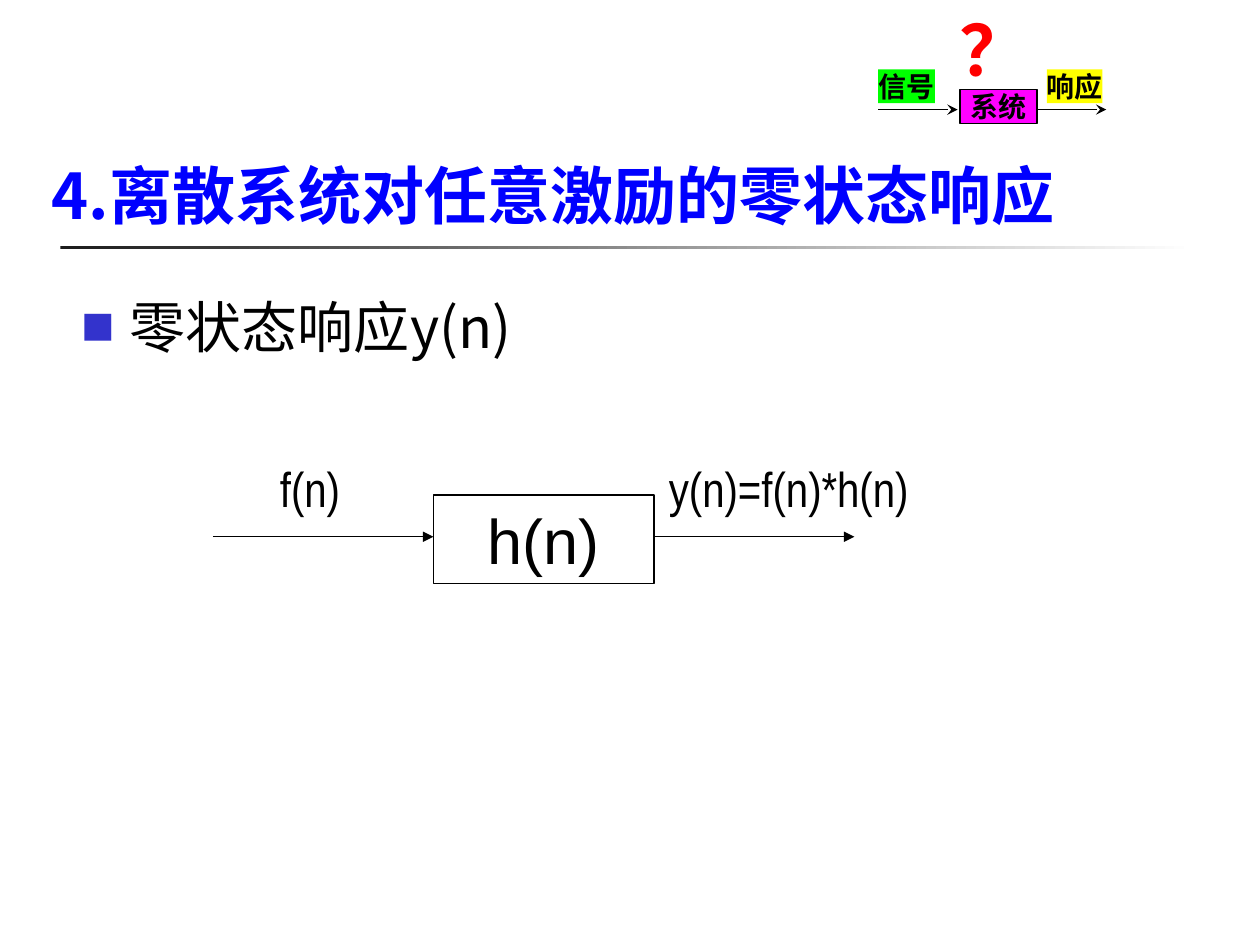
import pptx
import pptx.util
import pptx.dml.color
import pptx.enum.dml
import pptx.enum.lang
import pptx.enum.shapes
import pptx.enum.text
import pptx.oxml
import pptx.oxml.ns
import lxml.etree

Inches = pptx.util.Inches
Pt = pptx.util.Pt
RGBColor = pptx.dml.color.RGBColor
PP_ALIGN = pptx.enum.text.PP_ALIGN
MSO_ANCHOR = pptx.enum.text.MSO_ANCHOR
qn = pptx.oxml.ns.qn

BLACK = RGBColor(0x00, 0x00, 0x00)
WHITE = RGBColor(0xFF, 0xFF, 0xFF)
CHARCOAL = RGBColor(0x1C, 0x1C, 0x1C)
BLUE = RGBColor(0x00, 0x00, 0xFF)
INDIGO = RGBColor(0x33, 0x33, 0xCC)
GREEN = RGBColor(0x00, 0xFF, 0x00)
YELLOW = RGBColor(0xFF, 0xFF, 0x00)
MAGENTA = RGBColor(0xFF, 0x00, 0xFF)
RED = RGBColor(0xFF, 0x00, 0x00)
CJK = "Noto Sans CJK SC"


def sub(parent, tag, **attrs):
    return lxml.etree.SubElement(parent, qn(tag), attrs)


def set_text(sp, text, size, font=CJK, color=BLACK, bold=False,
             align=PP_ALIGN.LEFT, anchor=MSO_ANCHOR.TOP, margins=(0.1, 0.05), wrap=True):
    tf = sp.text_frame
    tf.auto_size = pptx.enum.text.MSO_AUTO_SIZE.NONE
    tf.word_wrap = wrap
    tf.vertical_anchor = anchor
    tf.margin_left = tf.margin_right = Inches(margins[0])
    tf.margin_top = tf.margin_bottom = Inches(margins[1])
    p = tf.paragraphs[0]
    r = p.add_run()
    r.text = text
    r.font.language_id = pptx.enum.lang.MSO_LANGUAGE_ID.SIMPLIFIED_CHINESE
    p.alignment = align
    p.font.size = Pt(size)
    p.font.bold = bold
    p.font.color.rgb = color
    p.font.name = font
    sub(p.font._element, "a:ea", typeface=CJK)
    return p


def add_box(s, left, top, width, height, fill=None, line=None):
    sp = s.shapes.add_shape(pptx.enum.shapes.MSO_SHAPE.RECTANGLE, Inches(left),
                            Inches(top), Inches(width), Inches(height))
    sp.shadow.inherit = False
    if fill is None:
        sp.fill.background()
    else:
        sp.fill.solid()
        sp.fill.fore_color.rgb = fill
    if line is None:
        sp.line.fill.background()
    else:
        sp.line.color.rgb = line
        sp.line.width = Pt(0.75)
    return sp


def add_label(s, left, top, width, height, text, size, **style):
    sp = s.shapes.add_textbox(Inches(left), Inches(top), Inches(width), Inches(height))
    set_text(sp, text, size, wrap=False, **style)


def add_arrow(s, x1, x2, y, head):
    cx = s.shapes.add_connector(pptx.enum.shapes.MSO_CONNECTOR.STRAIGHT,
                                Inches(x1), Inches(y), Inches(x2), Inches(y))
    cx.line.color.rgb = BLACK
    cx.line.width = Pt(0.75)
    sub(cx.line._get_or_add_ln(), "a:tailEnd", type=head)
    sub(cx._element.spPr, "a:effectLst")


def place(sp, left, top, width, height):
    sp.left, sp.top = Inches(left), Inches(top)
    sp.width, sp.height = Inches(width), Inches(height)


def add_rule(s, left, top, width, height):
    sp = add_box(s, left, top, width, height, WHITE)
    sp.fill.gradient()
    sp.fill.gradient_angle = 0
    for stop, color in zip(sp.fill.gradient_stops, (CHARCOAL, WHITE)):
        stop.color.rgb = color


def add_topic_badge(s, left, top, width):
    right = left + width
    box_left, box_width, box_height = left + 0.65, 0.61, 0.27
    for text, x, y, w, fill, line, align in (
            ("信号", left, top + 0.55, 0.45, GREEN, None, PP_ALIGN.LEFT),
            ("响应", right - 0.47, top + 0.55, 0.44, YELLOW, None, PP_ALIGN.LEFT),
            ("系统", box_left, top + 0.71, box_width, MAGENTA, BLACK, PP_ALIGN.CENTER)):
        sp = add_box(s, x, y, w, box_height, fill, line)
        set_text(sp, text, 16, bold=True, align=align, margins=(0, 0), wrap=False)
    for x1, x2 in ((left, box_left - 0.02), (box_left + box_width, right)):
        add_arrow(s, x1, x2, top + 0.87, "stealth")
    add_label(s, left + 0.55, top, 0.75, 0.77, "？", 40,
              font="Times New Roman", color=RED, bold=True)


def add_title(s, left, top, width, height):
    sp = s.shapes.title
    place(sp, left, top, width, height)
    p = set_text(sp, "4.离散系统对任意激励的零状态响应", 36, color=BLUE, bold=True,
                 anchor=MSO_ANCHOR.BOTTOM)
    pPr = p._p.get_or_add_pPr()
    pPr.set("marL", str(Inches(0.92)))
    pPr.set("indent", str(Inches(-0.92)))


def add_body(s, left, top, width, height):
    sp = s.placeholders[1]
    place(sp, left, top, width, height)
    p = set_text(sp, "零状态响应y(n)", 32)
    p.space_before = Pt(8)
    pPr = p._p.get_or_add_pPr()
    pPr.set("marL", str(Inches(0.38)))
    pPr.set("indent", str(Inches(-0.38)))
    defaults = p.font._element
    color = lxml.etree.Element(qn("a:buClr"))
    sub(color, "a:srgbClr", val=str(INDIGO))
    defaults.addprevious(color)
    for tag, key, value in (("a:buSzPct", "val", "60000"),
                            ("a:buFont", "typeface", CJK),
                            ("a:buChar", "char", "■")):
        defaults.addprevious(lxml.etree.Element(qn(tag), {key: value}))


def add_system_diagram(s, left, top, width):
    box_left, box_width = left + 1.75, 1.75
    axis = top + 0.67
    sp = add_box(s, box_left, top + 0.34, box_width, 0.7, line=BLACK)
    set_text(sp, "h(n)", 36, font="Arial", align=PP_ALIGN.CENTER, anchor=MSO_ANCHOR.MIDDLE)
    for x1, x2 in ((left, box_left), (box_left + box_width, left + width)):
        add_arrow(s, x1, x2, axis, "triangle")
    for text, x, w in (("f(n)", left + 0.43, 0.68), ("y(n)=f(n)*h(n)", left + 3.52, 2.1)):
        add_label(s, x, top, w, 0.57, text, 28, font="Arial Narrow",
                  align=PP_ALIGN.CENTER, anchor=MSO_ANCHOR.MIDDLE)


def main():
    prs = pptx.Presentation()
    prs.slide_width, prs.slide_height = Inches(10), Inches(7.5)
    s = prs.slides.add_slide(prs.slide_layouts[1])
    add_rule(s, 0.48, 1.95, 9, 0.03)
    add_topic_badge(s, 6.97, 0, 1.81)
    add_title(s, 0.31, 1.02, 9.34, 0.87)
    add_body(s, 0.55, 2.27, 8.5, 4.5)
    add_system_diagram(s, 1.69, 3.59, 5.09)
    prs.save("out.pptx")


if __name__ == "__main__":
    main()
